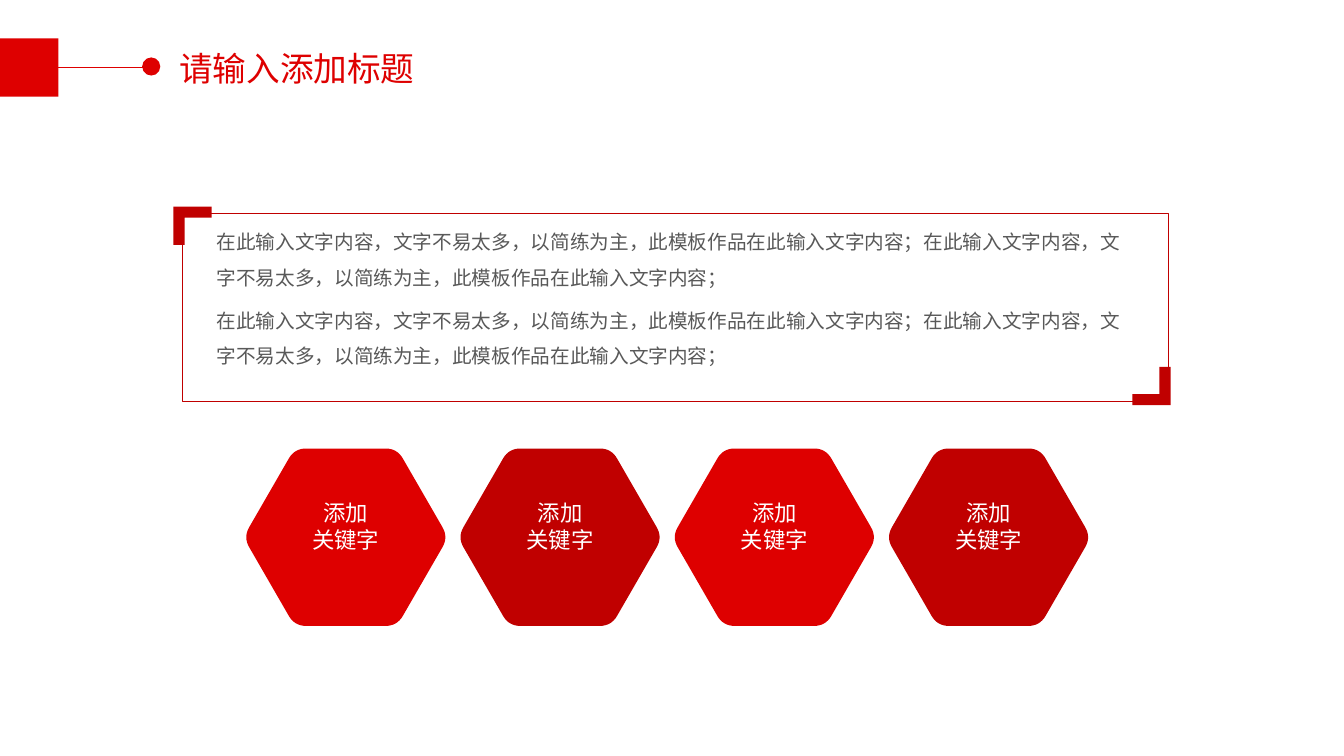
import math
import pptx
import pptx.util
import pptx.dml.color
import pptx.enum.shapes
import pptx.enum.text
import lxml.etree

Inches = pptx.util.Inches
Shape = pptx.enum.shapes.MSO_SHAPE
Align = pptx.enum.text.PP_ALIGN
A = "{http://schemas.openxmlformats.org/drawingml/2006/main}"


def color(code):
    return pptx.dml.color.RGBColor.from_string(code)


class Deck:
    font = "Noto Sans CJK SC"
    red, dark, gray, white = "DE0000", "C00000", "595959", "FFFFFF"

    def __init__(self):
        self.file = pptx.Presentation()
        self.file.slide_width = Inches(13.33)
        self.file.slide_height = Inches(7.5)
        self.slide = self.file.slides.add_slide(self.file.slide_layouts[6])

    def paint(self, shape, fill=None, line=None, width=1):
        shape.shadow.inherit = False
        if fill:
            shape.fill.solid()
            shape.fill.fore_color.rgb = color(fill)
        else:
            shape.fill.background()
        if line:
            shape.line.color.rgb = color(line)
            shape.line.width = pptx.util.Pt(width)
        else:
            shape.line.fill.background()

    def shape(self, kind, box, **style):
        item = self.slide.shapes.add_shape(kind, *map(Inches, box))
        self.paint(item, **style)

    def outline(self, points, fill):
        first, *rest = [(Inches(x), Inches(y)) for x, y in points]
        build = self.slide.shapes.build_freeform(*first)
        build.add_line_segments(rest, close=True)
        self.paint(build.convert_to_shape(), fill)

    def line(self, x1, y1, x2, y2, code):
        item = self.slide.shapes.add_connector(
            pptx.enum.shapes.MSO_CONNECTOR.STRAIGHT,
            *map(Inches, (x1, y1, x2, y2)))
        item.line.color.rgb = color(code)
        item.line.width = pptx.util.Pt(1)
        lxml.etree.SubElement(item._element.spPr, A + "effectLst")

    def text(self, box, lines, size, code, align=Align.LEFT,
             space=1.0, inset=True):
        frame = self.slide.shapes.add_textbox(*map(Inches, box)).text_frame
        frame.word_wrap = True
        frame.auto_size = pptx.enum.text.MSO_AUTO_SIZE.SHAPE_TO_FIT_TEXT
        if not inset:
            frame.margin_left = frame.margin_right = 0
            frame.margin_top = frame.margin_bottom = 0
        frame.text = "\n".join(lines)
        for para in frame.paragraphs:
            para.alignment = align
            para.line_spacing = space
            para.font.size = pptx.util.Pt(size)
            para.font.color.rgb = color(code)
            para.font.name = self.font
            # East Asian text needs its own typeface entry
            base = para._p.pPr.find(A + "defRPr")
            lxml.etree.SubElement(base, A + "ea", typeface=self.font)


def hexagon(cx, cy, radius=1.016, cut=0.115, steps=8):
    """Points of a hexagon whose corners are rounded by quadratic curves."""
    tips = [(cx + radius * math.cos(math.radians(60 * i)),
             cy + radius * math.sin(math.radians(60 * i))) for i in range(6)]
    share = cut / radius
    points = []
    for i, tip in enumerate(tips):
        start, end = [[t + share * (n - t) for t, n in zip(tip, near)]
                      for near in (tips[i - 1], tips[(i + 1) % 6])]
        for k in range(steps + 1):
            t = k / steps
            points.append([(1 - t) ** 2 * s + 2 * t * (1 - t) * m + t * t * e
                           for s, m, e in zip(start, tip, end)])
    return points


def main():
    deck = Deck()

    # Heading
    deck.line(0, 0.67, 1.48, 0.67, deck.red)
    deck.shape(Shape.OVAL, (1.41, 0.57, 0.18, 0.18), fill=deck.red)
    deck.text((1.68, 0.43, 3.32, 0.5), ["请输入添加标题"], 24, deck.red,
              Align.JUSTIFY)
    deck.shape(Shape.RECTANGLE, (0, 0.38, 0.58, 0.58), fill=deck.red)

    # Frame with two corner marks
    deck.shape(Shape.RECTANGLE, (1.81, 2.12, 9.78, 1.86),
               line=deck.dark, width=0.25)
    arm, thick = 0.38, 0.11
    corner = [(0, 0), (arm, 0), (arm, thick), (thick, thick),
              (thick, arm), (0, arm)]
    for x, y, sign in ((1.72, 2.05, 1), (11.61, 4.02, -1)):
        deck.outline([(x + sign * dx, y + sign * dy) for dx, dy in corner],
                     deck.dark)

    # Keyword hexagons
    for i in range(4):
        mid = 3.43 + 2.125 * i
        deck.outline(hexagon(mid, 5.33), (deck.red, deck.dark)[i % 2])
        deck.text((mid - 0.645, 4.95, 1.29, 0.54), ["添加", "关键字"], 16,
                  deck.white, Align.CENTER, inset=False)

    # Body text
    body = "在此输入文字内容，文字不易太多，以简练为主，此模板作品在此输入文字内容；"
    body += "在此输入文字内容，文字不易太多，以简练为主，此模板作品在此输入文字内容；"
    for top in (2.12, 2.9):
        deck.text((2.05, top, 9.3, 0.77), [body], 14, deck.gray, space=1.5)

    deck.file.save("out.pptx")


if __name__ == "__main__":
    main()
